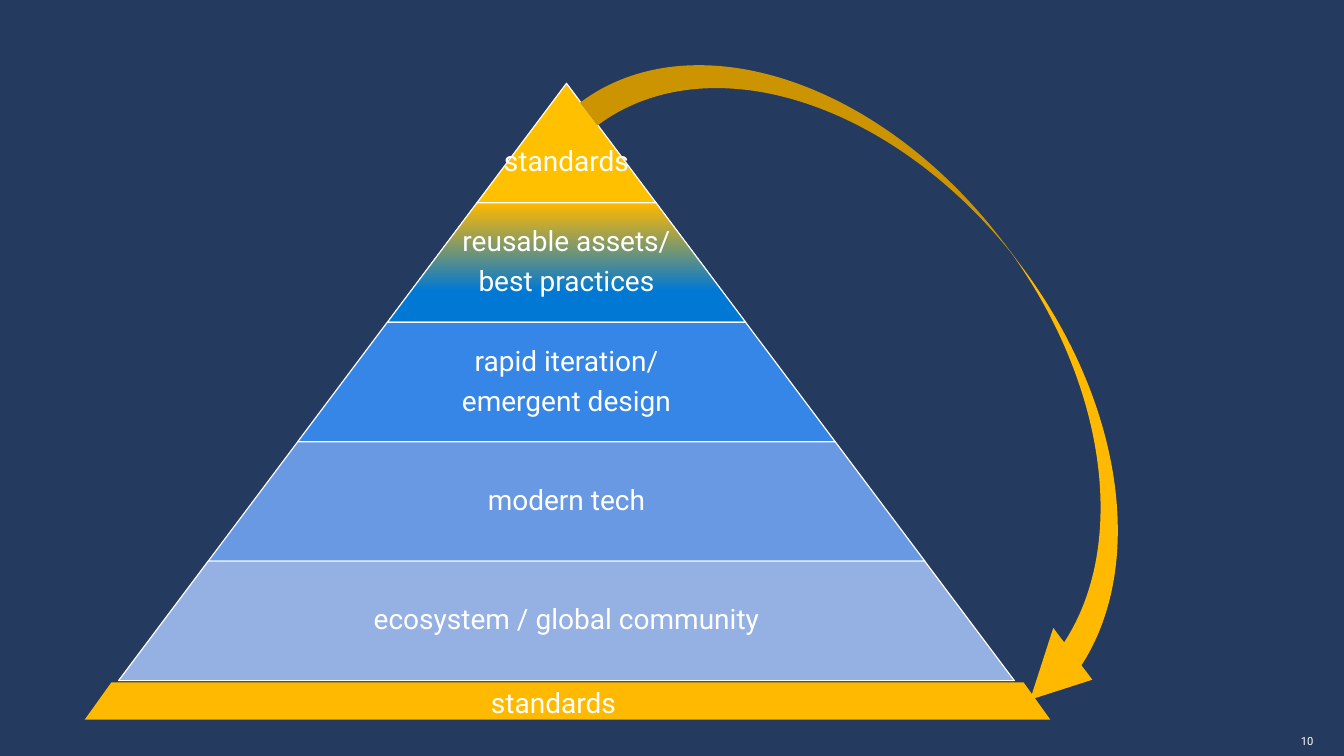
"""Build a slide showing a pyramid of practices whose standards feed back into its base."""
from pptx import Presentation
from pptx.dml.color import RGBColor
from pptx.enum.shapes import MSO_SHAPE
from pptx.enum.text import MSO_ANCHOR, PP_ALIGN
from pptx.util import Inches, Pt

COLORS = {
    "navy": "243A5E",
    "white": "FFFFFF",
    "gold": "FFC000",
    "amber": "FFB900",
    "azure": "0078D4",
    "blue": "3586E7",
    "sky": "6899E2",
    "mist": "95B0E2",
}
TIERS = [
    ("standards", ["gold"]),
    ("reusable assets/\nbest practices", ["amber", "azure"]),
    ("rapid iteration/\nemergent design", ["blue"]),
    ("modern tech", ["sky"]),
    ("ecosystem / global community", ["mist"]),
]
CENTER, TOP = 42.15, 11.03
TIER_WIDTH, TIER_HEIGHT = 13.33, 15.8
LABEL_SHARE = 0.65
APEX_DROP = 2.6


class Deck:
    """Hold the style and current slide; lengths are percentages of the slide's size."""

    def __init__(self, font):
        self.prs = Presentation()
        self.prs.slide_width, self.prs.slide_height = Inches(13.33), Inches(7.5)
        self.font = font

    def color(self, name):
        """Return the named colour."""
        return RGBColor.from_string(COLORS[name])

    def add_slide(self, background):
        """Start a blank slide with a plain background."""
        self.slide = self.prs.slides.add_slide(self.prs.slide_layouts[6])
        fill = self.slide.background.fill
        fill.solid()
        fill.fore_color.rgb = self.color(background)
        self.shapes = self.slide.shapes

    def start_group(self):
        """Send the next elements into a new group."""
        self.shapes = self.slide.shapes.add_group_shape().shapes

    def end_group(self):
        """Send the next elements straight to the slide."""
        self.shapes = self.slide.shapes

    def box(self, x, y, w, h):
        """Turn percentages into slide lengths."""
        across, down = self.prs.slide_width / 100, self.prs.slide_height / 100
        return round(x * across), round(y * down), round(w * across), round(h * down)

    def shape(self, kind, place, adjust, fills, line=None, rotation=0):
        """Add a preset shape with a solid or two-colour downward fill."""
        sp = self.shapes.add_shape(kind, *self.box(*place))
        sp.shadow.inherit = False
        sp.rotation = rotation
        for i, value in enumerate(adjust):
            sp.adjustments[i] = value
        if len(fills) == 1:
            sp.fill.solid()
            sp.fill.fore_color.rgb = self.color(fills[0])
        else:
            sp.fill.gradient()
            sp.fill.gradient_angle = 270
            for stop, name, position in zip(sp.fill.gradient_stops, fills, (0, 0.74)):
                stop.color.rgb = self.color(name)
                stop.position = position
        if line:
            sp.line.color.rgb = self.color(line)
            sp.line.width = Pt(0.85)
        else:
            sp.line.fill.background()

    def text(self, text, place, size=20, align=PP_ALIGN.LEFT, anchor=MSO_ANCHOR.TOP,
             wrap=True, spacing=1.0, after=0):
        """Add a text box without margins."""
        tf = self.shapes.add_textbox(*self.box(*place)).text_frame
        tf.margin_left = tf.margin_right = tf.margin_top = tf.margin_bottom = 0
        tf.word_wrap = wrap
        tf.vertical_anchor = anchor
        tf.text = text
        for p in tf.paragraphs:
            p.alignment = align
            p.line_spacing = spacing
            p.space_after = Pt(after)
            for r in p.runs:
                r.font.name = self.font
                r.font.size = Pt(size)
                r.font.color.rgb = self.color("white")

    def tier(self, index, label, fills):
        """Add one tier of the pyramid with its label."""
        width = TIER_WIDTH * (index + 1)
        y = TOP + TIER_HEIGHT * index
        self.shape(MSO_SHAPE.TRAPEZOID, (CENTER - width / 2, y, width, TIER_HEIGHT),
                   [0.75], fills, line="white")
        label_width = max(LABEL_SHARE * width, TIER_WIDTH)
        label_y = y if index else y + APEX_DROP
        self.text(label, (CENTER - label_width / 2, label_y, label_width, TIER_HEIGHT),
                  align=PP_ALIGN.CENTER, anchor=MSO_ANCHOR.MIDDLE, spacing=0.9, after=7)


def main():
    """Draw and save the slide."""
    deck = Deck("Roboto")
    deck.add_slide("navy")
    deck.text("10", (96.68, 97.07, 1.05, 1.73), size=8, align=PP_ALIGN.RIGHT, wrap=False)
    deck.start_group()
    for index, (label, fills) in enumerate(TIERS):
        deck.tier(index, label, fills)
    deck.end_group()
    deck.shape(MSO_SHAPE.CURVED_DOWN_ARROW, (39.15, 27.87, 58.05, 33.6),
               [0.113, 0.255, 0.243], ["amber"], rotation=53)
    deck.shape(MSO_SHAPE.TRAPEZOID, (6.3, 90.27, 71.85, 4.93), [0.716], ["amber"])
    deck.text("standards", (36.53, 90.67, 11.25, 4.53))
    deck.prs.save("out.pptx")


if __name__ == "__main__":
    main()
